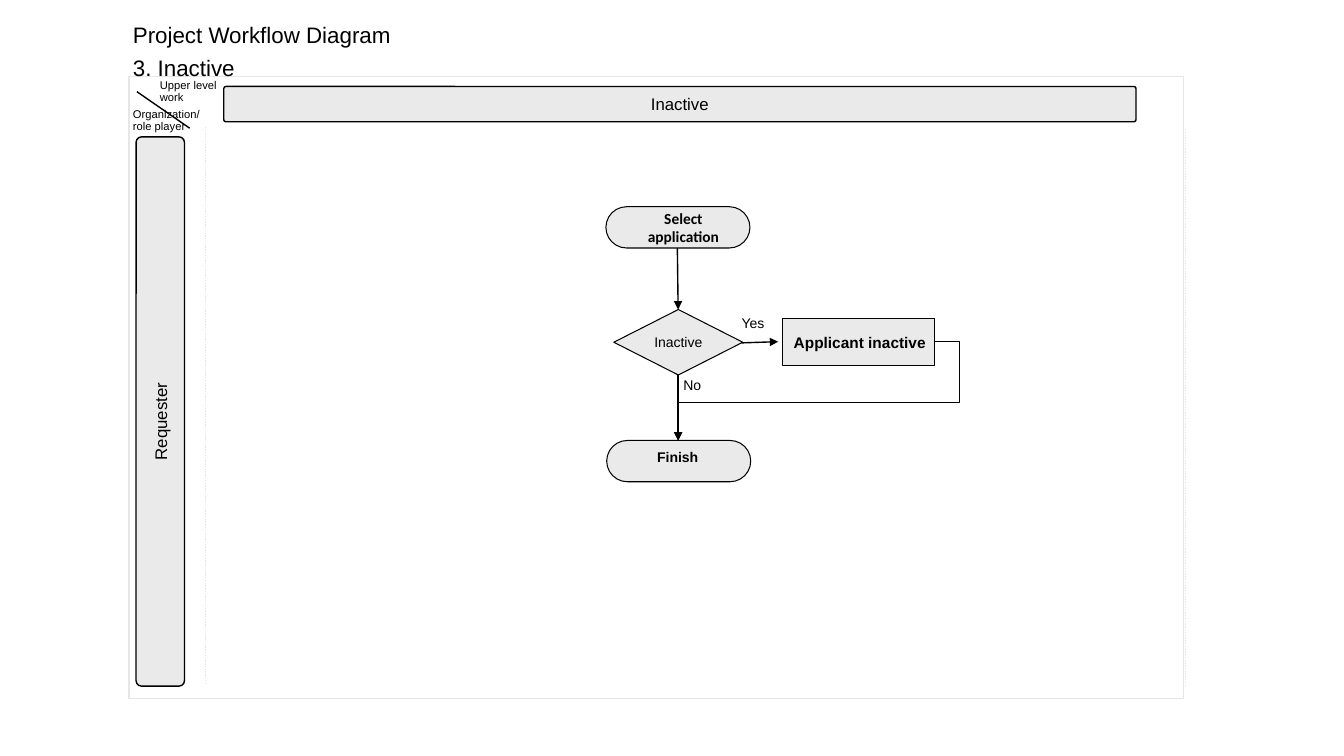
from lxml.etree import SubElement
from pptx import Presentation
from pptx.dml.color import RGBColor
from pptx.enum.dml import MSO_LINE
from pptx.enum.shapes import MSO_CONNECTOR, MSO_SHAPE
from pptx.enum.text import MSO_ANCHOR, PP_ALIGN
from pptx.oxml.ns import qn
from pptx.util import Cm, Pt

BLACK = RGBColor(0x00, 0x00, 0x00)
LIGHT_GRAY = RGBColor(0xE7, 0xE6, 0xE6)
BOX_GRAY = RGBColor(0xEA, 0xEA, 0xEA)


def write_text(shape, text, margins, paragraph_format, font_format):
    """Fill a shape with text; margins are left, top, right and bottom in cm."""
    frame = shape.text_frame
    frame.word_wrap = True
    for side, margin in zip(("left", "top", "right", "bottom"), margins):
        setattr(frame, f"margin_{side}", Cm(margin))
    frame.text = text
    for paragraph in frame.paragraphs:
        for name, value in paragraph_format.items():
            setattr(paragraph, name, value)
        for name, value in font_format.items():
            setattr(paragraph.font, name, value)
        paragraph.font.color.rgb = BLACK


def add_line(slide, kind, ends, color, has_arrow=False):
    line = slide.shapes.add_connector(kind, *(Cm(value) for value in ends))
    line.line.color.rgb = color
    line.line.width = Pt(1)
    if has_arrow:
        SubElement(line.line._get_or_add_ln(), qn("a:tailEnd"), type="triangle")
    SubElement(line._element.spPr, qn("a:effectLst"))
    return line


presentation = Presentation()
presentation.slide_width = Cm(33.87)
presentation.slide_height = Cm(19.05)
slide = presentation.slides.add_slide(presentation.slide_layouts[6])

# Frame and lane borders
frame_box = slide.shapes.add_shape(
    MSO_SHAPE.RECTANGLE, Cm(3.25), Cm(1.93), Cm(26.57), Cm(15.67))
frame_box.shadow.inherit = False
frame_box.fill.background()
frame_box.line.color.rgb = LIGHT_GRAY
frame_box.line.width = Pt(1)

for x, top in ((5.18, 3.2), (29.87, 3.25)):
    border = add_line(slide, MSO_CONNECTOR.STRAIGHT, (x, top, x, top + 14.02), LIGHT_GRAY)
    border.line.dash_style = MSO_LINE.ROUND_DOT

# Lane bars and flow steps: shape, corner, place, line width, text, margins, font
ROUNDED = MSO_SHAPE.ROUNDED_RECTANGLE
NO_MARGINS = (0, 0, 0, 0)
steps = [
    (ROUNDED, 0.113, (3.43, 3.45, 1.22, 13.84), 1, "", NO_MARGINS, {}),
    (ROUNDED, 0.066, (5.64, 2.18, 22.99, 0.89), 1, "Inactive", NO_MARGINS,
     {"size": Pt(12), "name": "Arial"}),
    (ROUNDED, 0.5, (15.27, 5.21, 3.63, 1.04), 0.75, "Select application", (0.8, 0, 0.52, 0),
     {"size": Pt(11), "name": "Calibri", "bold": True}),
    (MSO_SHAPE.DIAMOND, None, (15.47, 7.8, 3.25, 1.65), 0.75, "Inactive", NO_MARGINS,
     {"size": Pt(10), "name": "Arial"}),
    (MSO_SHAPE.RECTANGLE, None, (19.71, 8.03, 3.84, 1.17), 0.75, "Applicant inactive",
     (0.08, 0.05, 0, 0), {"size": Pt(11), "name": "Arial", "bold": True}),
    (ROUNDED, 0.5, (15.29, 11.1, 3.63, 1.04), 0.75, "Finish", (0, 0, 0.05, 0.2),
     {"size": Pt(10), "name": "Arial", "bold": True}),
]
for kind, corner, place, line_width, text, margins, font_format in steps:
    step = slide.shapes.add_shape(kind, *(Cm(value) for value in place))
    step.shadow.inherit = False
    step.fill.solid()
    step.fill.fore_color.rgb = BOX_GRAY
    step.line.color.rgb = BLACK
    step.line.width = Pt(line_width)
    if corner:
        step.adjustments[0] = corner
    if text:
        write_text(step, text, margins, {"alignment": PP_ALIGN.CENTER}, font_format)
        step.text_frame.vertical_anchor = MSO_ANCHOR.MIDDLE

# Corner divider and flow arrows
add_line(slide, MSO_CONNECTOR.STRAIGHT, (3.45, 2.31, 4.78, 3.23), BLACK)
for ends in (
    (17.07, 6.25, 17.09, 7.8),
    (18.69, 8.64, 19.61, 8.61),
    (17.09, 9.45, 17.09, 11.1),
):
    add_line(slide, MSO_CONNECTOR.STRAIGHT, ends, BLACK, has_arrow=True)

return_arrow = add_line(
    slide, MSO_CONNECTOR.ELBOW, (23.55, 8.61, 17.09, 11.1), BLACK, has_arrow=True)
geometry = return_arrow._element.spPr.find(qn("a:prstGeom"))
geometry.set("prst", "bentConnector4")
guides = geometry.find(qn("a:avLst"))
for name, value in (("adj1", -9900), ("adj2", 61800)):
    SubElement(guides, qn("a:gd"), name=name, fmla=f"val {value}")

# Text labels: place, rotation, text, font size, paragraph format
labels = [
    ((3.1, 0.41, 10.72, 2.59), 0, "Project Workflow Diagram\n3. Inactive", 16,
     {"space_before": Pt(4)}),
    ((3.1, 2.62, 2.24, 0.86), 0, "Organization/\nrole player", 8, {"line_spacing": 0.9}),
    ((3.78, 1.88, 2.1, 0.86), 0, "Upper level\nwork", 8, {"line_spacing": 0.9}),
    ((2.74, 10.24, 2.6, 0.76), 270, "Requester", 12, {"alignment": PP_ALIGN.CENTER}),
    ((18.44, 7.8, 1.3, 0.69), 0, "Yes", 10, {}),
    ((16.97, 9.37, 1.3, 0.69), 0, "No", 10, {}),
]
for place, rotation, text, size, paragraph_format in labels:
    label = slide.shapes.add_textbox(*(Cm(value) for value in place))
    label.rotation = rotation
    write_text(label, text, (0.25, 0.13, 0.25, 0.13), paragraph_format,
               {"size": Pt(size), "name": "Arial"})

presentation.save("out.pptx")
